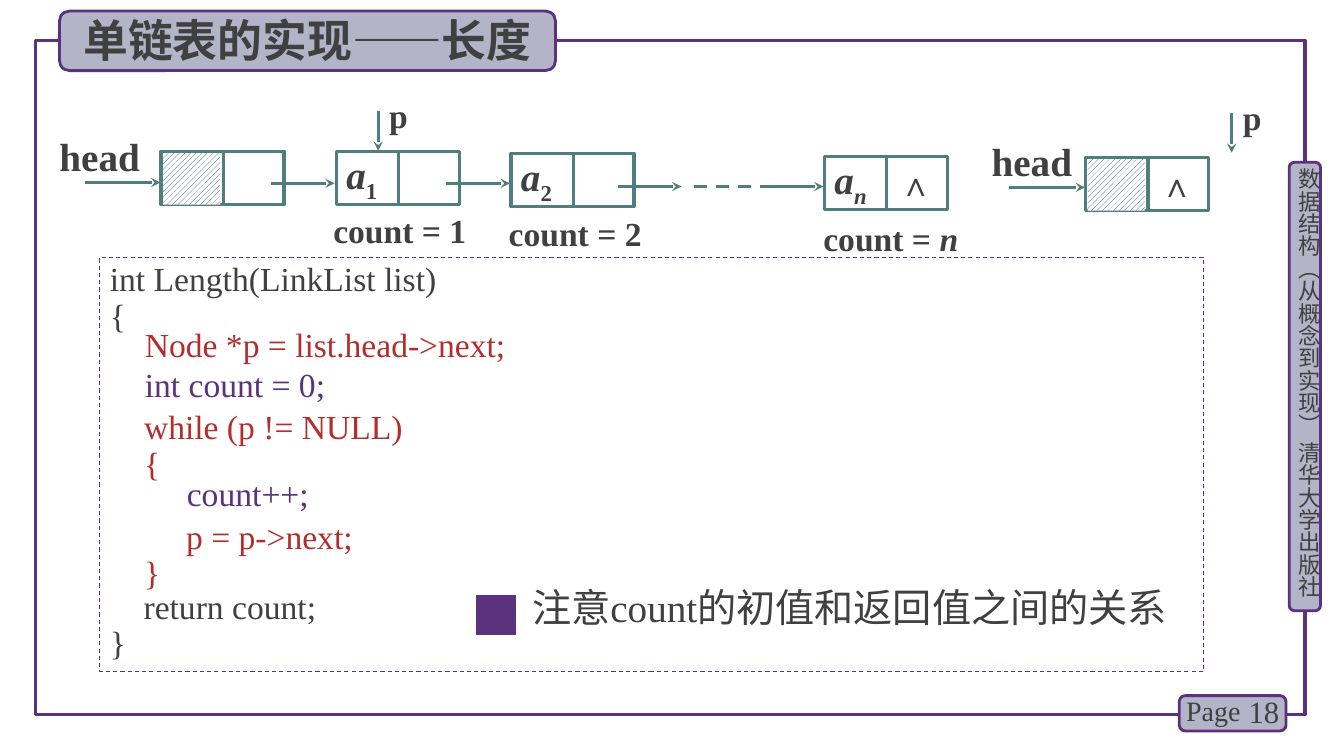
from math import cos, pi, sin

from lxml.etree import SubElement
from pptx import Presentation
from pptx.dml.color import RGBColor
from pptx.enum.dml import MSO_LINE, MSO_PATTERN
from pptx.enum.shapes import MSO_CONNECTOR, MSO_SHAPE
from pptx.enum.text import MSO_ANCHOR, PP_ALIGN
from pptx.oxml.ns import qn
from pptx.util import Cm, Pt

INK = RGBColor(0x40, 0x40, 0x40)
PURPLE = RGBColor(0x5A, 0x32, 0x7D)
RED = RGBColor(0xB4, 0x2D, 0x2D)
TEAL = RGBColor(0x50, 0x7D, 0x7D)
LILAC = RGBColor(0xB4, 0xB4, 0xC8)
HATCH = RGBColor(0x1F, 0x49, 0x7D)
WHITE = RGBColor(0xFF, 0xFF, 0xFF)
LATIN, CHINESE = "Times New Roman", "Noto Sans CJK SC"

# Content; all lengths in centimetres
TITLE = "单链表的实现——长度"
SIDE_TEXT = "数据结构（从概念到实现） 清华大学出版社"
NOTE = "注意count的初值和返回值之间的关系"
BORDER = (0.89, 1.02, 32, 16.99)
CODE_FRAME = (2.52, 6.48, 27.81, 10.44)
TABS = [(32.49, 4.09, 0.79, 11.3), (29.72, 17.53, 2.69, 0.89), (1.5, 0.28, 12.5, 1.5)]
# Left, top, index, hatched data cell, null link
NODES = [
    (4.06, 3.81, "", True, False),
    (8.48, 3.81, "1", False, False),
    (12.88, 3.86, "2", False, False),
    (20.78, 3.94, "n", False, True),
    (27.36, 3.96, "", True, True),
]
LINKS = [(6.83, 4.62), (11.25, 4.62), (15.57, 4.7), (19.15, 4.7)]
HEADS = [(2.13, 4.6, 1.5), (25.43, 4.72, 24.99)]  # arrow left, arrow y, label left
POINTERS = [(9.53, 2.79), (31.04, 2.84)]
COUNTS = [(8.15, 5.16, "1"), (12.57, 5.23, "2"), (20.5, 5.36, "n")]
CODE = [
    (2.52, 6.48, INK, ["int Length(LinkList list)", "{"]),
    (3.4, 8.13, RED, ["Node *p = list.head->next;"]),
    (3.4, 9.14, PURPLE, ["int count = 0;"]),
    (3.38, 10.21, RED, ["while (p != NULL)", "{"]),
    (4.46, 11.89, PURPLE, ["count++;"]),
    (4.44, 12.96, RED, ["p = p->next;"]),
    (3.38, 13.88, RED, ["}"]),
    (3.37, 14.73, INK, ["return count;"]),
    (2.52, 15.65, INK, ["}"]),
]
NODE_W, NODE_H, DIVIDER = 3.1, 1.35, 1.57
LINK_LENGTH, HEAD_LENGTH, POINTER_LENGTH = 1.6, 1.91, 1.01
PADDING = (0.25, 0.13, 0.25, 0.13)

deck = Presentation()
deck.slide_width, deck.slide_height = Cm(33.87), Cm(19.05)
slide = deck.slides.add_slide(deck.slide_layouts[6])
shapes = slide.shapes


def box(place, line, weight, fill=None, kind=MSO_SHAPE.RECTANGLE):
    shape = shapes.add_shape(kind, *map(Cm, place))
    shape.shadow.inherit = False
    if fill is None:
        shape.fill.background()
    else:
        shape.fill.solid()
        shape.fill.fore_color.rgb = fill
    shape.line.color.rgb = line
    shape.line.width = Pt(weight)
    return shape


def style(run, size, color=INK, font=LATIN, bold=False, italic=False):
    run.font.size, run.font.name = Pt(size), font
    run.font.bold, run.font.italic = bold, italic
    run.font.color.rgb = color
    SubElement(run.font._element, qn("a:ea"), typeface=CHINESE)


def inset(frame, padding):
    frame.margin_left, frame.margin_top, frame.margin_right, frame.margin_bottom = map(Cm, padding)


def label(place, text, size, padding=PADDING, **look):
    frame = shapes.add_textbox(*map(Cm, place)).text_frame
    frame.word_wrap = True
    inset(frame, padding)
    frame.text = text
    for paragraph in frame.paragraphs:
        for run in paragraph.runs:
            style(run, size, **look)
    return frame


def line(x1, y1, x2, y2, arrow=False):
    connector = shapes.add_connector(MSO_CONNECTOR.STRAIGHT, *map(Cm, (x1, y1, x2, y2)))
    connector.line.color.rgb = TEAL
    connector.line.width = Pt(2.25)
    if arrow:
        SubElement(connector.line._get_or_add_ln(), qn("a:tailEnd"), type="stealth")
    SubElement(connector._element.spPr, qn("a:effectLst"))
    return connector


def node(left, top, index, hatched, null):
    cell = box((left, top, NODE_W, NODE_H), TEAL, 2.25)
    if index:
        frame = cell.text_frame
        frame.vertical_anchor = MSO_ANCHOR.TOP
        inset(frame, (0.25, 0, 0, 0.2))
        paragraph = frame.paragraphs[0]
        paragraph.alignment, paragraph.line_spacing = PP_ALIGN.LEFT, 0.9
        for part in ("a", index):
            run = paragraph.add_run()
            run.text = part
            style(run, 28, bold=True, italic=part.isalpha())
        run.font._element.set("baseline", "-25000")
    line(left + DIVIDER, top, left + DIVIDER, top + NODE_H)
    if hatched:
        data = box((left + 0.05, top + 0.05, DIVIDER - 0.13, NODE_H - 0.05), TEAL, 1)
        data.line.fill.background()
        data.fill.patterned()
        data.fill.pattern = MSO_PATTERN.WIDE_UPWARD_DIAGONAL
        data.fill.fore_color.rgb, data.fill.back_color.rgb = HATCH, WHITE
    if null:
        label((left + 1.63, top + 0.03, 1.45, 1.24), "∧", 24, bold=True)


def ellipse(x, y, rx, ry, steps=32):
    return [(x + rx * cos(2 * pi * i / steps), y + ry * sin(2 * pi * i / steps))
            for i in range(steps)]


# Border, tabs and their text
box(BORDER, PURPLE, 2.25)
for tab in TABS:
    box(tab, PURPLE, 2, LILAC, MSO_SHAPE.ROUNDED_RECTANGLE)
side = label((32.64, 4.24, 0.69, 11.4), SIDE_TEXT, 16, (0, 0, 0, 0), font=CHINESE)
side._txBody.bodyPr.set("vert", "eaVert")
label((29.64, 17.35, 1.98, 1.12), "Page", 20)
number = label((30.99, 17.42, 1.5, 1.02), "18", 22)
number.vertical_anchor = MSO_ANCHOR.MIDDLE
number.paragraphs[0].alignment = PP_ALIGN.RIGHT
label((1.85, 0.18, 12.12, 1.63), TITLE, 32, font=CHINESE, bold=True)

# Linked lists
for item in NODES:
    node(*item)
for x, y in LINKS:
    line(x, y, x + LINK_LENGTH, y, arrow=True)
line(17.5, 4.7, 19.05, 4.7).line.dash_style = MSO_LINE.DASH
for x, y, label_left in HEADS:
    line(x, y, x + HEAD_LENGTH, y, arrow=True)
    label((label_left, y - 1.27, 2.5, 1.3), "head", 28, (0, 0, 0, 0.1), bold=True)
for x, y in POINTERS:
    line(x, y, x, y + POINTER_LENGTH, arrow=True)
    label((x + 0.28, y - 0.41, 0.69, 1.02), "p", 24, (0, 0, 0, 0), bold=True)
for left, top, total in COUNTS:
    paragraph = label((left, top, 4.2, 1.28), "count = ", 24, bold=True).paragraphs[0]
    run = paragraph.add_run()
    run.text = total
    style(run, 24, bold=True, italic=total.isalpha())

# Code
box(CODE_FRAME, PURPLE, 0.75).line.dash_style = MSO_LINE.DASH
for left, top, color, rows in CODE:
    code = label((left, top, 12, 0.92 * len(rows) + 0.26), "\n".join(rows), 24, color=color)
    for paragraph in code.paragraphs:
        paragraph.line_spacing = Pt(26)

# Note with its map pin
label((13.16, 14.58, 17.17, 1.45), NOTE, 28)
PIN_X, PIN_Y = 12.47, 15.14
arc = [(PIN_X + 0.4 * cos(a * pi / 12), PIN_Y + 0.33 * sin(a * pi / 12)) for a in range(12, 25)]
taper = [(0.37, 0.2), (0.28, 0.38), (0.13, 0.62), (0, 0.76), (-0.13, 0.62), (-0.28, 0.38), (-0.37, 0.2)]
outline = arc + [(PIN_X + dx, PIN_Y + dy) for dx, dy in taper]
ring = ellipse(PIN_X, PIN_Y, 0.25, 0.2)[::-1]
dot = ellipse(PIN_X, PIN_Y, 0.15, 0.13)
pin_path = shapes.build_freeform(*outline[0], scale=Cm(1))
pin_path.add_line_segments(outline[1:])
for contour in (ring, dot):
    pin_path.move_to(*contour[0])
    pin_path.add_line_segments(contour[1:])
pin = pin_path.convert_to_shape()
pin.shadow.inherit = False
pin.fill.solid()
pin.fill.fore_color.rgb = PURPLE
pin.line.fill.background()

deck.save("out.pptx")
